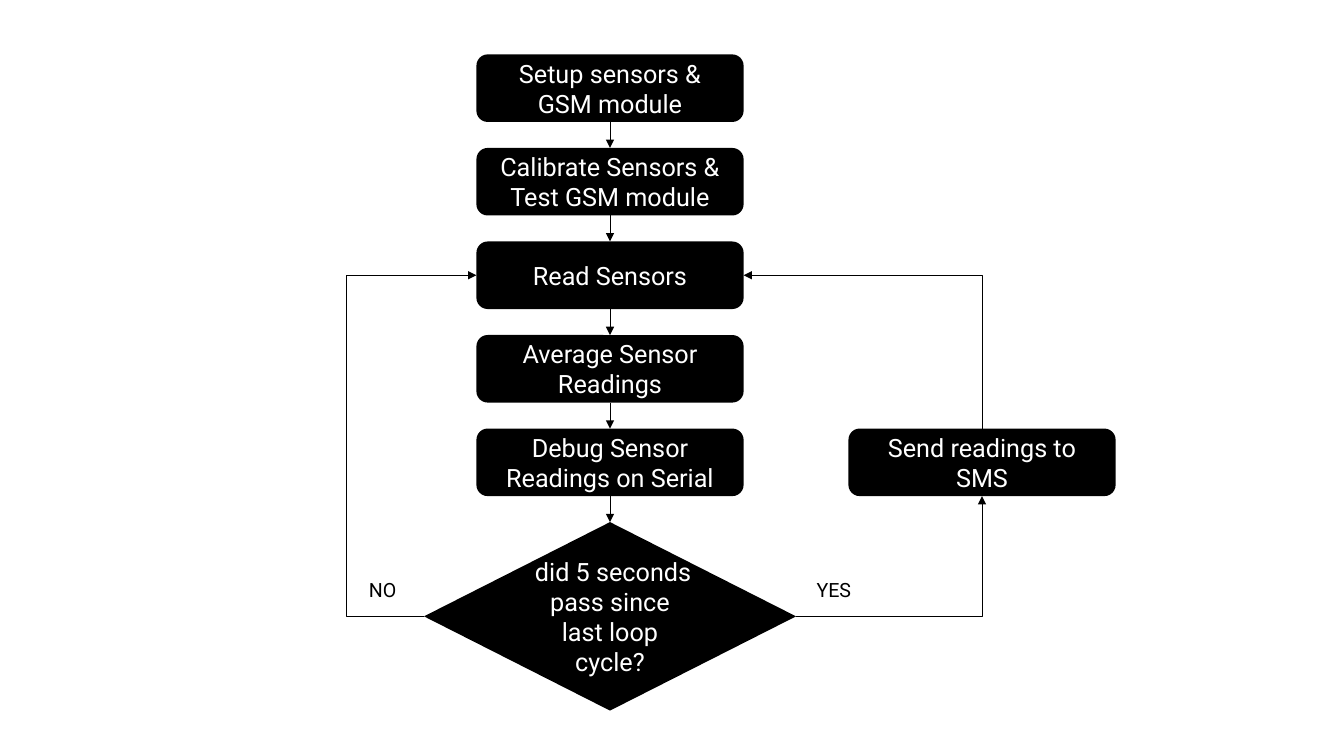
from pptx import Presentation
from pptx.dml.color import RGBColor
from pptx.enum.shapes import MSO_CONNECTOR, MSO_SHAPE
from pptx.enum.text import MSO_ANCHOR, MSO_AUTO_SIZE, PP_ALIGN
from pptx.oxml.ns import qn
from pptx.oxml.xmlchemy import OxmlElement
from pptx.util import Inches, Pt

STEPS = [
    "Setup sensors & GSM module",
    "Calibrate Sensors & Test GSM module",
    "Read Sensors",
    "Average Sensor Readings",
    "Debug Sensor Readings on Serial",
]
DECISION = " did 5 seconds pass since last loop cycle?"
SEND = "Send readings to SMS"
ANSWERS = [("YES", 8, 0.55), ("NO", 3.56, 0.49)]
COLORS = {"ink": "000000", "paper": "FFFFFF"}
FONT = "Roboto"

CENTER, TOP, BOTTOM = 6.05, 0.54, 5.18
PITCH = (BOTTOM - TOP) / len(STEPS)
BOX_W, BOX_H = 2.65, 0.67
DIAMOND_W, DIAMOND_H = 3.69, 1.87
SEND_CENTER = CENTER + DIAMOND_W
LOOP_X = 3.44
SITE_TOP, SITE_LEFT, SITE_BOTTOM, SITE_RIGHT = range(4)

prs = Presentation()
prs.slide_width, prs.slide_height = Inches(13.33), Inches(7.5)
s = prs.slides.add_slide(prs.slide_layouts[6])


def color(name):
    return RGBColor.from_string(COLORS[name])


def write(tf, text, size, ink):
    tf.text = text
    f = tf.paragraphs[0].runs[0].font
    f.name, f.size, f.color.rgb = FONT, Pt(size), color(ink)


def add_node(kind, text, center, top, w, h):
    sp = s.shapes.add_shape(kind, Inches(center - w / 2), Inches(top), Inches(w), Inches(h))
    sp.shadow.inherit = False
    sp.fill.solid()
    sp.fill.fore_color.rgb = color("ink")
    sp.line.fill.background()
    tf = sp.text_frame
    tf.word_wrap, tf.vertical_anchor = True, MSO_ANCHOR.MIDDLE
    write(tf, text, 18, "paper")
    tf.paragraphs[0].alignment = PP_ALIGN.CENTER
    return sp


def add_arrow(kind, start, start_site, end, end_site):
    c = s.shapes.add_connector(kind, 0, 0, 0, 0)
    c.begin_connect(start, start_site)
    c.end_connect(end, end_site)
    c.line.color.rgb, c.line.width = color("ink"), Pt(0.5)
    head = OxmlElement("a:tailEnd")
    head.set("type", "triangle")
    c.line._get_or_add_ln().append(head)
    c._element.spPr.append(OxmlElement("a:effectLst"))
    return c


def geometry(c):
    return c._element.spPr.find(qn("a:prstGeom"))


def turn_upward(c):
    x, y, w, h = c.left, c.top, c.width, c.height
    c.left, c.top = x + (w - h) // 2, y + (h - w) // 2
    c.width, c.height = h, w
    xfrm = c._element.spPr.find(qn("a:xfrm"))
    for key, value in (("rot", "16200000"), ("flipH", "0"), ("flipV", "1")):
        xfrm.set(key, value)


steps = [
    add_node(MSO_SHAPE.ROUNDED_RECTANGLE, text, CENTER, TOP + i * PITCH, BOX_W, BOX_H)
    for i, text in enumerate(STEPS)
]
decision = add_node(MSO_SHAPE.DIAMOND, DECISION, CENTER, BOTTOM, DIAMOND_W, DIAMOND_H)
send = add_node(MSO_SHAPE.ROUNDED_RECTANGLE, SEND, SEND_CENTER, BOTTOM - PITCH, BOX_W, BOX_H)
read = steps[2]

no = add_arrow(MSO_CONNECTOR.ELBOW, decision, SITE_LEFT, read, SITE_LEFT)
guide = OxmlElement("a:gd")
guide.set("name", "adj1")
guide.set("fmla", f"val {round((Inches(LOOP_X) - no.left) / no.width * 100000)}")
geometry(no).get_or_add_avLst().append(guide)

yes = add_arrow(MSO_CONNECTOR.ELBOW, decision, SITE_RIGHT, send, SITE_BOTTOM)
back = add_arrow(MSO_CONNECTOR.ELBOW, send, SITE_TOP, read, SITE_RIGHT)
for c in (yes, back):
    geometry(c).set("prst", "bentConnector2")
turn_upward(back)

nodes = steps + [decision]
for upper, lower in zip(nodes, nodes[1:]):
    add_arrow(MSO_CONNECTOR.STRAIGHT, upper, SITE_BOTTOM, lower, SITE_TOP)

for text, x, w in ANSWERS:
    tf = s.shapes.add_textbox(Inches(x), Inches(5.68), Inches(w), Inches(0.34)).text_frame
    tf.word_wrap, tf.auto_size = False, MSO_AUTO_SIZE.SHAPE_TO_FIT_TEXT
    write(tf, text, 14, "ink")

prs.save("out.pptx")
